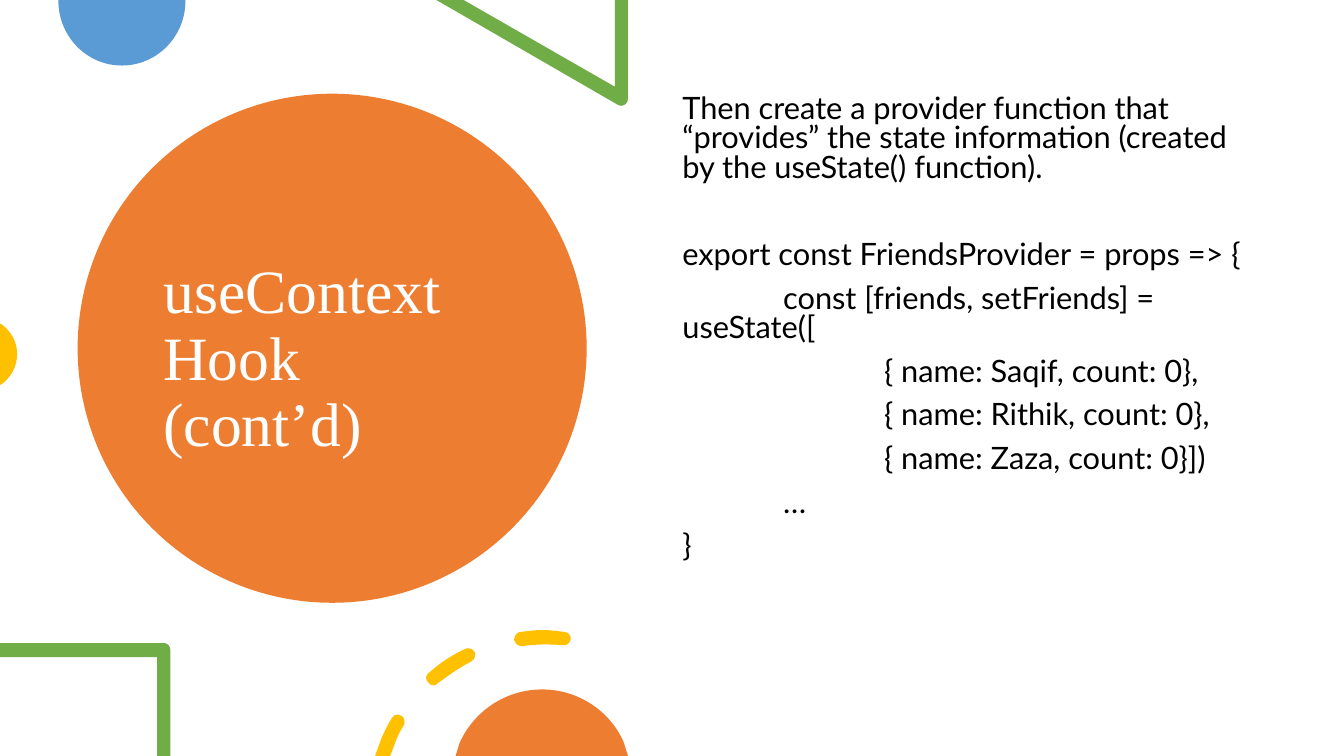
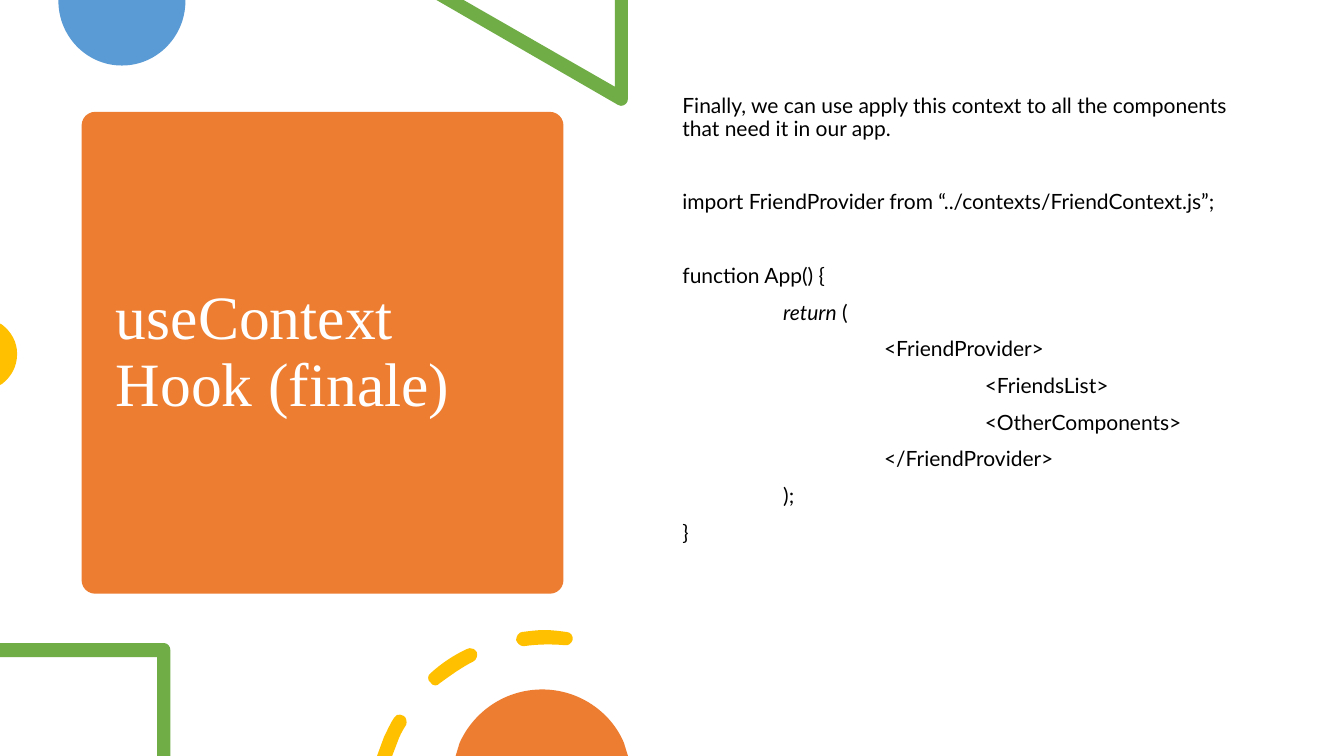
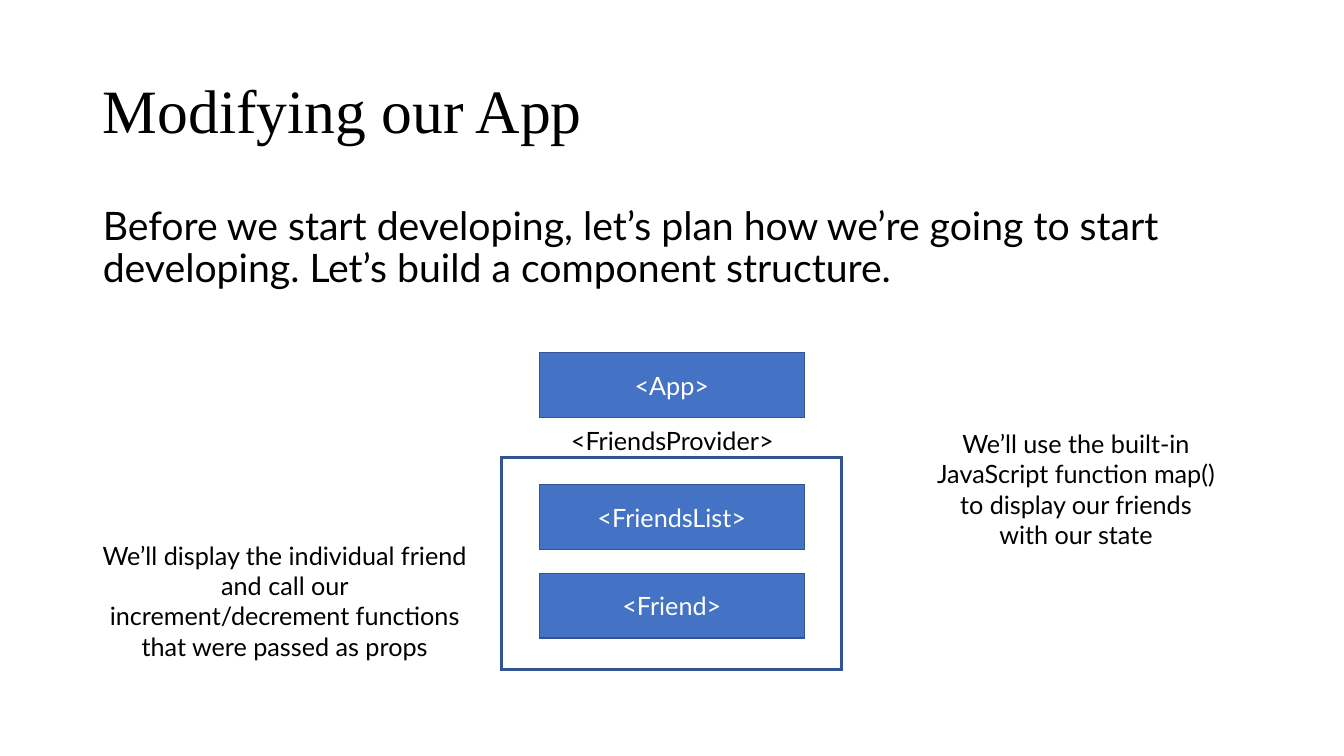
import pptx
import pptx.dml.color
import pptx.enum.shapes
import pptx.enum.text
import pptx.oxml.ns
import pptx.util
from dataclasses import dataclass
from lxml import etree

Inches = pptx.util.Inches
Pt = pptx.util.Pt
Preset = pptx.enum.shapes.MSO_SHAPE
Align = pptx.enum.text.PP_ALIGN
Anchor = pptx.enum.text.MSO_ANCHOR
AutoSize = pptx.enum.text.MSO_AUTO_SIZE
qualified = pptx.oxml.ns.qn


@dataclass(frozen=True)
class Theme:
    orange: str = "ED7D31"
    sky: str = "5B9BD5"
    green: str = "70AD47"
    gold: str = "FFC000"
    blue: str = "4472C4"
    navy: str = "325491"
    black: str = "000000"
    white: str = "FFFFFF"
    title_font: str = "Times New Roman"
    text_font: str = "Lato"
    title_size: int = 44
    body_size: int = 28
    label_size: int = 18
    paragraph_gap: int = 10
    line_height: float = 1.2


THEME = Theme()

HOOK_SLIDES = [
    {
        "title": "useContext Hook (cont’d)",
        "title_box": (1.52, 1.35, 3.54, 4.45),
        "badge": (Preset.OVAL, (0.77, 0.93, 5.05, 5.05), None),
        "dash_shift": 0,
        "size": 22,
        "spacing": 0.8,
        "groups": [
            ["Then create a provider function that “provides” the state "
             "information (created by the useState() function)."],
            ["export const FriendsProvider = props => {",
             "\tconst [friends, setFriends] = useState([",
             "\t\t{ name: Saqif, count: 0},",
             "\t\t{ name: Rithik, count: 0},",
             "\t\t{ name: Zaza, count: 0}])",
             "\t…",
             "}"],
        ],
    },
    {
        "title": "useContext Hook (finale)",
        "title_box": (1.05, 1.22, 4.31, 4.56),
        "badge": (Preset.ROUNDED_RECTANGLE, (0.81, 1.11, 4.78, 4.78), 0.028),
        "dash_shift": 0.02,
        "size": 15,
        "spacing": 0.9,
        "groups": [
            ["Finally, we can use apply this context to all the components "
             "that need it in our app."],
            ["import FriendProvider from “../contexts/FriendContext.js”;"],
            ["function App() {",
             [("\treturn", True), (" (", False)],
             "\t\t<FriendProvider>",
             "\t\t\t<FriendsList>",
             "\t\t\t<OtherComponents>",
             "\t\t</FriendProvider>",
             "\t);",
             "}"],
        ],
    },
]
HOOK_BODY_BOX = (6.67, 0.9, 5.75, 5.35)

PLAN_TITLE = "Modifying our App"
PLAN_TITLE_BOX = (0.92, 0.4, 11.5, 1.45)
PLAN_INTRO = ("Before we start developing, let’s plan how we’re going to start "
              "developing. Let’s build a component structure.")
PLAN_BODY_BOX = (0.92, 2, 11.5, 4.76)
COMPONENTS = [("<App>", 3.5), ("<FriendsList>", 4.81), ("<Friend>", 5.69)]
COMPONENT_LEFT, COMPONENT_WIDTH, COMPONENT_HEIGHT = 5.35, 2.63, 0.64
PROVIDER_FRAME = (4.98, 4.54, 3.37, 2.1)
NOTES = [
    ("We’ll use the built-in JavaScript function map() to display our friends "
     "with our state", (9.19, 4.2, 2.97, 1.31)),
    ("We’ll display the individual friend and call our increment/decrement "
     "functions that were passed as props", (0.91, 5.31, 3.83, 1.31)),
    ("<FriendsProvider>", (5.26, 4.17, 2.82, 0.4)),
]

TOP_DISC = [[(1.84, 0), (0.58, 0), (0.58, 0.01),
             (0.58, 0.36, 0.86, 0.65, 1.21, 0.65),
             (1.56, 0.65, 1.84, 0.36, 1.84, 0.01)]]
TOP_TRIANGLE = [[(6.23, 0), (6.1, 0), (6.1, 0.86), (4.6, 0), (4.33, 0), (6.13, 1.04),
                 (6.14, 1.05, 6.15, 1.05, 6.16, 1.05),
                 (6.2, 1.05, 6.23, 1.02, 6.23, 0.98)]]
LEFT_DISC = [[(0, 3.21), (0, 3.82), (0.02, 3.81),
              (0.11, 3.74, 0.17, 3.64, 0.17, 3.51),
              (0.17, 3.39, 0.11, 3.29, 0.02, 3.22)]]
CORNER_FRAME = [[(1.63, 6.38), (0, 6.38), (0, 6.52), (1.56, 6.52), (1.56, 7.5),
                 (1.69, 7.5), (1.69, 6.45), (1.69, 6.41, 1.66, 6.38, 1.63, 6.38)]]
BOTTOM_DISC = [[(5.38, 6.84), (5.01, 6.84, 4.7, 7.06, 4.56, 7.37), (4.52, 7.5),
                (6.23, 7.5), (6.19, 7.37), (6.06, 7.06, 5.74, 6.84, 5.38, 6.84)]]
ARC_DASHES = [
    [(3.95, 7.09), (3.93, 7.08, 3.9, 7.1, 3.89, 7.12),
     (3.85, 7.18, 3.82, 7.25, 3.79, 7.31), (3.72, 7.5), (3.87, 7.5), (3.92, 7.37),
     (3.94, 7.31, 3.97, 7.25, 4.01, 7.19), (4.02, 7.16, 4.01, 7.11, 3.98, 7.1),
     (3.97, 7.09, 3.96, 7.09, 3.95, 7.09)],
    [(4.64, 6.43), (4.63, 6.43, 4.62, 6.43, 4.61, 6.44),
     (4.48, 6.5, 4.36, 6.58, 4.25, 6.68), (4.22, 6.7, 4.22, 6.75, 4.25, 6.77),
     (4.26, 6.79, 4.28, 6.8, 4.3, 6.8), (4.3, 6.8),
     (4.32, 6.8, 4.33, 6.79, 4.34, 6.78),
     (4.45, 6.7, 4.56, 6.62, 4.68, 6.56), (4.71, 6.54, 4.72, 6.5, 4.71, 6.47),
     (4.69, 6.44, 4.67, 6.43, 4.64, 6.43)],
    [(5.38, 6.25), (5.31, 6.25, 5.24, 6.26, 5.16, 6.27),
     (5.13, 6.27, 5.1, 6.31, 5.1, 6.35), (5.11, 6.38, 5.14, 6.41, 5.17, 6.41),
     (5.18, 6.41, 5.18, 6.41, 5.18, 6.41),
     (5.32, 6.39, 5.45, 6.39, 5.58, 6.4), (5.62, 6.41, 5.65, 6.38, 5.66, 6.35),
     (5.67, 6.31, 5.64, 6.27, 5.6, 6.27), (5.6, 6.27, 5.6, 6.27, 5.6, 6.27),
     (5.53, 6.26, 5.45, 6.25, 5.38, 6.25)],
]
DECORATIONS = [
    (TOP_DISC, THEME.sky), (TOP_TRIANGLE, THEME.green), (LEFT_DISC, THEME.gold),
    (CORNER_FRAME, THEME.green), (ARC_DASHES, THEME.gold), (BOTTOM_DISC, THEME.orange),
]


def rgb(color):
    return pptx.dml.color.RGBColor.from_string(color)


def place(shape, box):
    shape.left, shape.top, shape.width, shape.height = map(Inches, box)


def paint(shape, fill=None, line=None, line_width=1):
    shape.shadow.inherit = False
    if fill:
        shape.fill.solid()
        shape.fill.fore_color.rgb = rgb(fill)
    else:
        shape.fill.background()
    if line:
        shape.line.color.rgb = rgb(line)
        shape.line.width = Pt(line_width)
        outline = next(shape.element.iter(qualified("a:ln")))
        etree.SubElement(outline, qualified("a:miter"), lim="800000")
    else:
        shape.line.fill.background()


def style(paragraph, size, color, font=THEME.text_font, align=Align.CENTER):
    paragraph.alignment = align
    paragraph.font.name = font
    paragraph.font.size = Pt(size)
    paragraph.font.color.rgb = rgb(color)


def add_preset(slide, preset, box, **paint_options):
    shape = slide.shapes.add_shape(preset, *map(Inches, box))
    paint(shape, **paint_options)
    return shape


def segment_points(segment, shift):
    return [(Inches(x + shift), Inches(y)) for x, y in zip(segment[::2], segment[1::2])]


def bend_curves(shape, contours):
    lines = iter(list(shape.element.iter(qualified("a:lnTo"))))
    for contour in contours:
        for segment in contour[1:]:
            vertices = [next(lines) for _ in range(len(segment) // 2)]
            if len(vertices) == 3:
                curve = etree.Element(qualified("a:cubicBezTo"))
                vertices[0].addprevious(curve)
                for vertex in vertices:
                    curve.append(vertex[0])
                    vertex.getparent().remove(vertex)


def add_outline(slide, contours, color, shift):
    builder = None
    for contour in contours:
        start = segment_points(contour[0], shift)[0]
        if builder is None:
            builder = slide.shapes.build_freeform(*start)
        else:
            builder.move_to(*start)
        points = [point for segment in contour[1:]
                  for point in segment_points(segment, shift)]
        builder.add_line_segments(points, close=True)
    shape = builder.convert_to_shape()
    bend_curves(shape, contours)
    paint(shape, fill=color)


def set_title(slide, text, box, color):
    title = slide.shapes.title
    place(title, box)
    frame = title.text_frame
    frame.text = text
    frame.word_wrap = True
    frame.auto_size = AutoSize.NONE
    frame.vertical_anchor = Anchor.MIDDLE
    paragraph = frame.paragraphs[0]
    paragraph.line_spacing = 0.9
    style(paragraph, THEME.title_size, color, THEME.title_font, Align.LEFT)


def clear_bullet_and_set_tabs(paragraph):
    properties = paragraph._p.get_or_add_pPr()
    properties.set("marL", "0")
    properties.set("indent", "0")
    properties.set("defTabSz", str(Inches(1)))
    etree.SubElement(properties, qualified("a:buNone"))


def set_body(slide, groups, box, size, spacing):
    body = slide.placeholders[1]
    place(body, box)
    frame = body.text_frame
    frame.word_wrap = True
    frame.auto_size = AutoSize.NONE
    group_gap = 2 * THEME.paragraph_gap + size * THEME.line_height * spacing
    for group_index, group in enumerate(groups):
        for line_index, line in enumerate(group):
            first = group_index == line_index == 0
            paragraph = frame.paragraphs[0] if first else frame.add_paragraph()
            clear_bullet_and_set_tabs(paragraph)
            gap = THEME.paragraph_gap if line_index else group_gap
            paragraph.space_before = Pt(0 if first else gap)
            paragraph.line_spacing = spacing
            style(paragraph, size, THEME.black, align=Align.LEFT)
            for text, italic in [(line, False)] if isinstance(line, str) else line:
                run = paragraph.add_run()
                run.text = text
                if italic:
                    run.font.italic = True


def build_hook_slide(slide, content):
    set_title(slide, content["title"], content["title_box"], THEME.white)
    preset, box, rounding = content["badge"]
    badge = add_preset(slide, preset, box, fill=THEME.orange)
    if rounding:
        badge.adjustments[0] = rounding
    slide.shapes.title.element.addprevious(badge.element)
    set_body(slide, content["groups"], HOOK_BODY_BOX, content["size"], content["spacing"])
    for contours, color in DECORATIONS:
        shift = content["dash_shift"] if contours is ARC_DASHES else 0
        add_outline(slide, contours, color, shift)


def build_plan_slide(slide):
    set_title(slide, PLAN_TITLE, PLAN_TITLE_BOX, THEME.black)
    set_body(slide, [[PLAN_INTRO]], PLAN_BODY_BOX, THEME.body_size, 0.9)
    for name, top in COMPONENTS:
        box = (COMPONENT_LEFT, top, COMPONENT_WIDTH, COMPONENT_HEIGHT)
        component = add_preset(slide, Preset.RECTANGLE, box,
                               fill=THEME.blue, line=THEME.navy)
        frame = component.text_frame
        frame.text = name
        frame.vertical_anchor = Anchor.MIDDLE
        style(frame.paragraphs[0], THEME.label_size, THEME.white)
    add_preset(slide, Preset.RECTANGLE, PROVIDER_FRAME, line=THEME.navy, line_width=2.25)
    for text, box in NOTES:
        frame = slide.shapes.add_textbox(*map(Inches, box)).text_frame
        frame.text = text
        frame.word_wrap = True
        frame.auto_size = AutoSize.SHAPE_TO_FIT_TEXT
        style(frame.paragraphs[0], THEME.label_size, THEME.black)


def main():
    presentation = pptx.Presentation()
    presentation.slide_width = Inches(40 / 3)
    presentation.slide_height = Inches(7.5)
    layout = presentation.slide_layouts[1]
    for content in HOOK_SLIDES:
        build_hook_slide(presentation.slides.add_slide(layout), content)
    build_plan_slide(presentation.slides.add_slide(layout))
    presentation.save("out.pptx")


if __name__ == "__main__":
    main()
